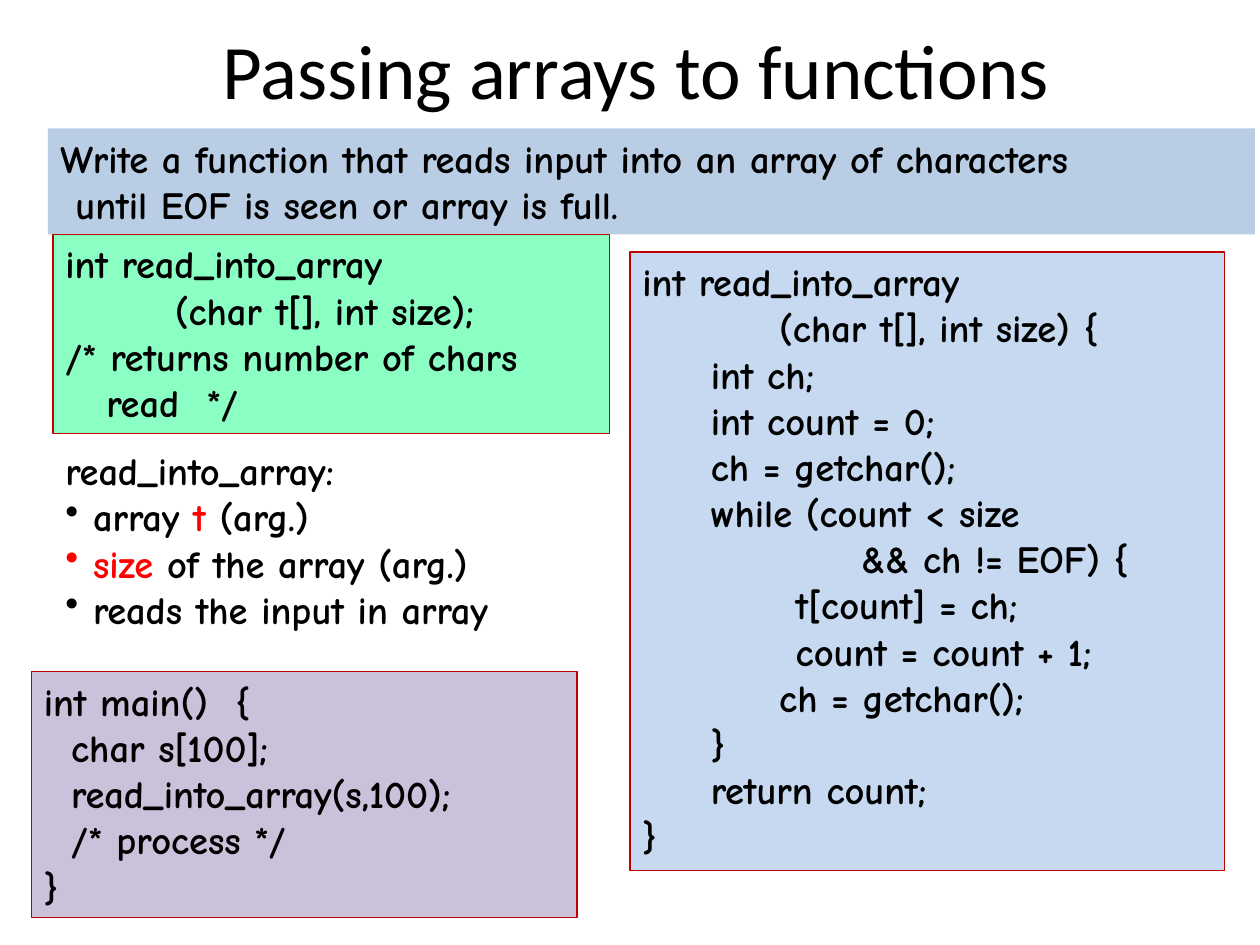
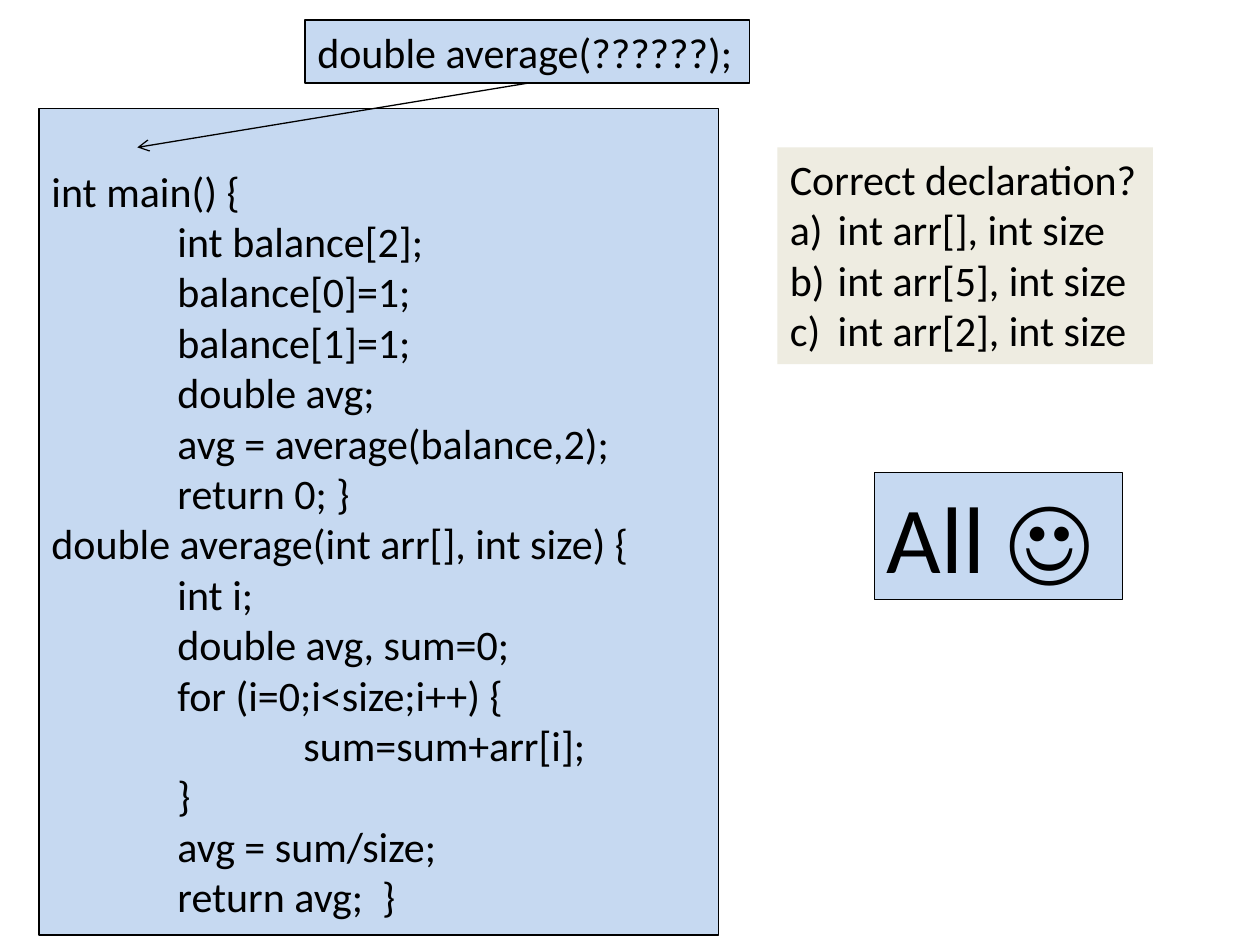
"""Build two slides on passing arrays to functions in C."""
from lxml import etree
from pptx import Presentation, util as u
from pptx.dml.color import RGBColor
from pptx.enum import shapes, text
from pptx.oxml.ns import qn

HUES = {"black": "000000", "red": "FF0000", "wine": "C00000", "steel": "B9CDE5",
        "mint": "8BFFC3", "mauve": "CCC1DA", "sky": "C6D9F1", "sand": "EEECE1"}
HAND = ("Comic Neue", 22, True)
PLAIN = ("Calibri", 24, False)

deck = Presentation()
deck.slide_width, deck.slide_height = u.Inches(10), u.Inches(7.5)
COL, ROW = deck.slide_width / 100, deck.slide_height / 100


def ink(name):
    return RGBColor.from_string(HUES[name])


def panel(slide, place, lines, face, fill=None, edge=None, top=0.05, marks=None,
          indent=0.0, align=text.PP_ALIGN.LEFT, anchor=text.MSO_ANCHOR.TOP):
    x, y, w, h = place
    area = [int(x * COL), int(y * ROW), int(w * COL), int(h * ROW)]
    if fill:
        box = slide.shapes.add_shape(shapes.MSO_SHAPE.RECTANGLE, *area)
        box.shadow.inherit = False
        box.fill.solid()
        box.fill.fore_color.rgb = ink(fill)
    else:
        box = slide.shapes.add_textbox(*area)
    if edge:
        box.line.color.rgb = ink(edge)
        box.line.width = u.Pt(0.75)
    else:
        box.line.fill.background()
    frame = box.text_frame
    frame.word_wrap = True
    frame.vertical_anchor = anchor
    frame.margin_top, frame.margin_right = u.Inches(top), 0
    for i, line in enumerate(lines):
        para = frame.paragraphs[0] if i == 0 else frame.add_paragraph()
        para.alignment = align
        props = para._p.get_or_add_pPr()
        if indent and i:
            props.set("marL", str(u.Inches(indent)))
            if marks:
                props.set("indent", str(-u.Inches(indent)))
                tag, key, value = marks
                etree.SubElement(props, qn(tag)).set(key, value)
        tabs = etree.SubElement(props, qn("a:tabLst"))
        for stop in (1, 2):
            etree.SubElement(tabs, qn("a:tab"), pos=str(u.Inches(stop)), algn="l")
        font = para.font
        font.name, font.size, font.bold = face[0], u.Pt(face[1]), face[2]
        parts = [(line, "black")] if isinstance(line, str) else line
        if len(parts) == 1:
            font.color.rgb = ink("black")
        for words, hue in parts:
            run = para.add_run()
            run.text = words
            if len(parts) > 1:
                run.font.color.rgb = ink(hue)


page = deck.slides.add_slide(deck.slide_layouts[6])
panel(page, (5, -1.07, 90, 16.67), ["Passing arrays to functions"],
      ("Calibri", 44, False), align=text.PP_ALIGN.CENTER, anchor=text.MSO_ANCHOR.MIDDLE)
panel(page, (3.8, 13.6, 95.8, 11.2),
      ["Write a function that reads input into an array of characters",
       "until EOF is seen or array is full."], HAND, "steel", indent=0.12)

codes = [
    ((4.2, 24.8, 44.2, 21.07), "mint", """int read_into_array
        (char t[], int size);
/* returns number of chars
   read  */"""),
    ((2.5, 71.07, 43.3, 26), "mauve", """int main()  {
  char s[100];
  read_into_array(s,100);
  /* process */
}"""),
    ((50, 26.67, 47.2, 65.47), "sky", """int read_into_array
          (char t[], int size) {
     int ch;
     int count = 0;
     ch = getchar();
     while (count < size
                && ch != EOF) {
\t  t[count] = ch;
\t  count = count + 1;
          ch = getchar();
     }
     return count;
}"""),
]
for place, fill, code in codes:
    panel(page, place, code.split("\n"), HAND, fill, "wine")

panel(page, (4.2, 46.67, 44.2, 21.07),
      ["read_into_array:",
       [("array ", "black"), ("t ", "red"), ("(arg.)", "black")],
       [("size ", "red"), ("of the array (arg.)", "black")],
       "reads the input in array"],
      HAND, marks=("a:buChar", "char", "•"), indent=0.22)

page = deck.slides.add_slide(deck.slide_layouts[6])
code = """int main() {
\tint balance[2];
\tbalance[0]=1;
\tbalance[1]=1;
\tdouble avg;
\tavg = average(balance,2);
\treturn 0; }
double average(int arr[], int size) {
\tint i;
\tdouble avg, sum=0;
\tfor (i=0;i<size;i++) {
\t\tsum=sum+arr[i];
\t}
\tavg = sum/size;
\treturn avg;  }"""
panel(page, (3.1, 11.47, 53.9, 87.47), code.split("\n"), PLAIN, "sky", "black", top=0.45)
panel(page, (61.7, 15.6, 29.8, 22.93),
      ["Correct declaration?"] + [f"int arr[{n}], int size" for n in ("", 5, 2)],
      PLAIN, "sand", marks=("a:buAutoNum", "type", "alphaLcParenR"), indent=0.38)
panel(page, (24.2, 2.13, 35.3, 6.67), ["double average(??????);"], PLAIN, "sky", "black")

arrow = page.shapes.add_connector(
    shapes.MSO_CONNECTOR.STRAIGHT,
    int(41.9 * COL), int(8.8 * ROW), int(10.9 * COL), int(15.6 * ROW))
arrow.line.color.rgb = ink("black")
arrow.line.width = u.Pt(0.75)
etree.SubElement(arrow.line._get_or_add_ln(), qn("a:tailEnd")).set("type", "arrow")
etree.SubElement(arrow._element.spPr, qn("a:effectLst"))

panel(page, (69.4, 50, 19.7, 13.47), ["All ☺"], ("Calibri", 54, False), "sky", "black")

deck.save("out.pptx")
